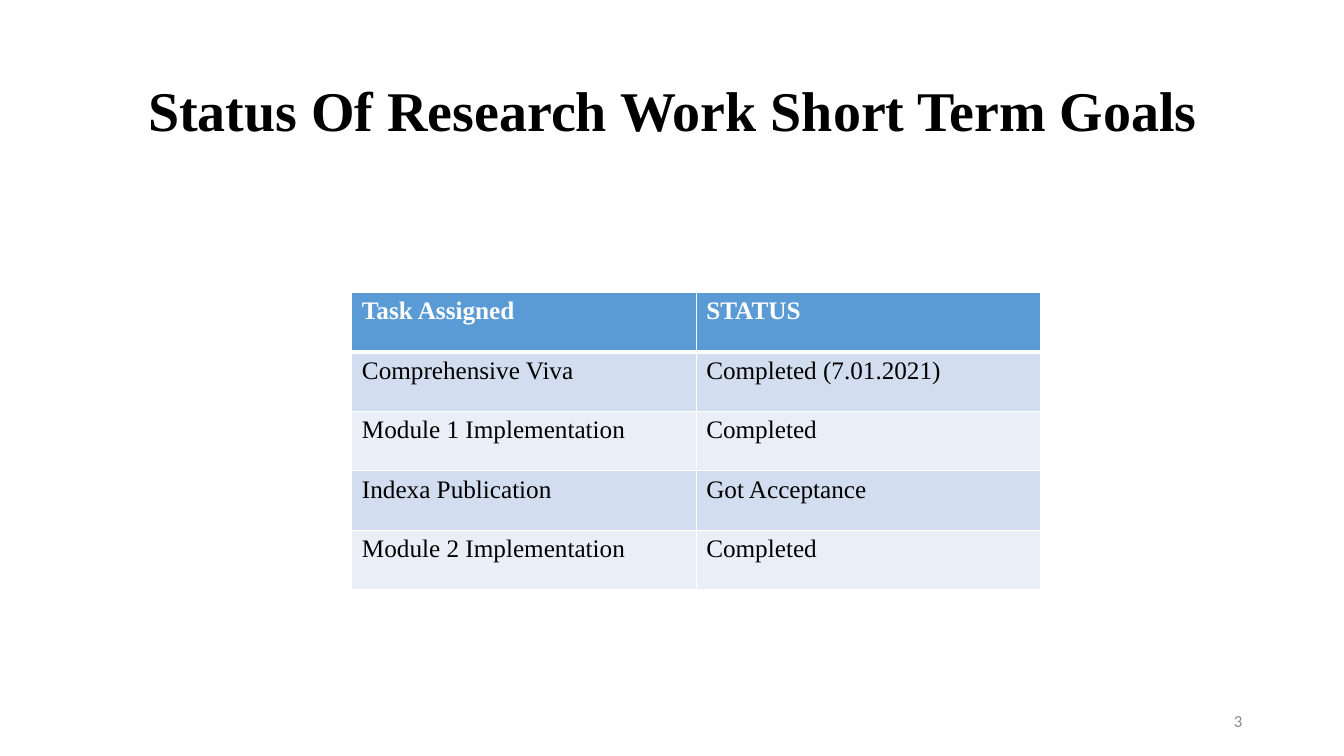
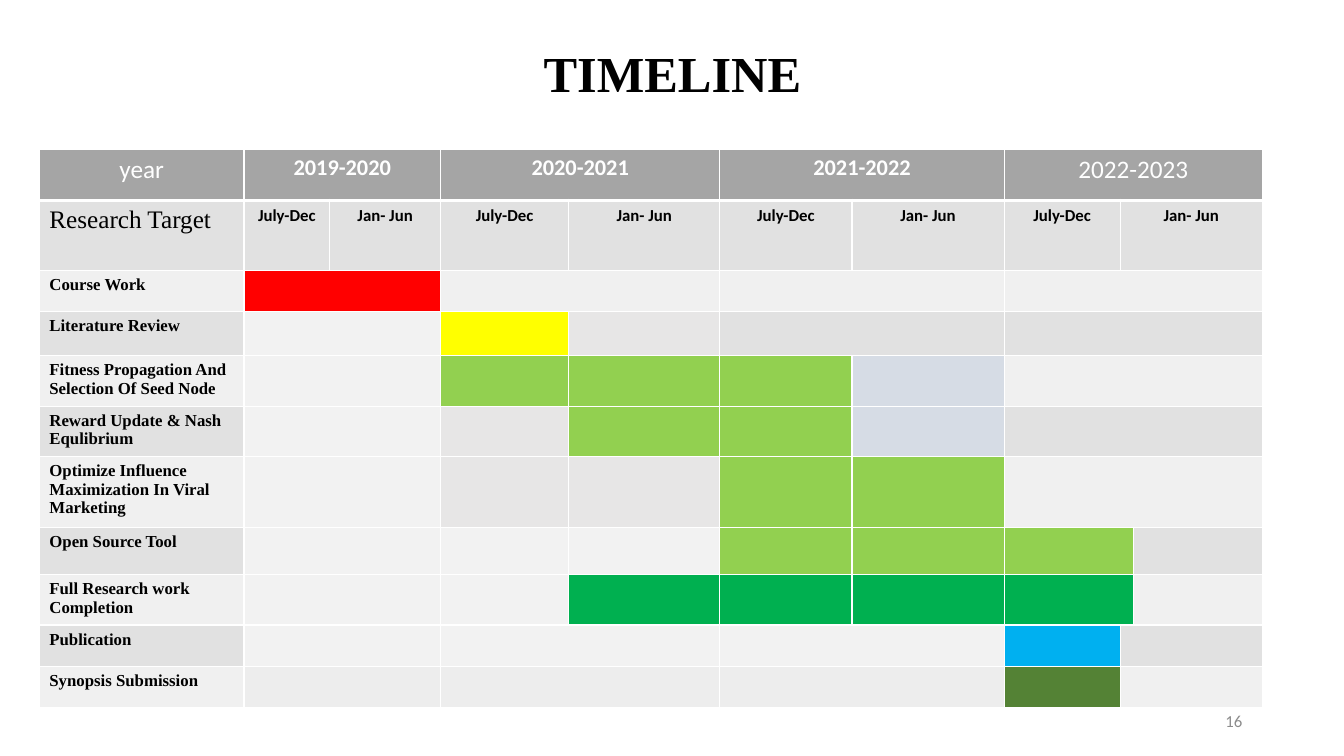
from pptx import Presentation, util as u
from pptx.dml.color import RGBColor
from pptx.enum import text
from pptx.oxml import parse_xml
from pptx.oxml.ns import nsdecls

WIDE, HIGH = 13.33, 7.5
SERIF, SANS = "Times New Roman", "Calibri"
LEFT, MID, RIGHT = text.PP_ALIGN.LEFT, text.PP_ALIGN.CENTER, text.PP_ALIGN.RIGHT
BLACK = RGBColor(0x00, 0x00, 0x00)
WHITE = RGBColor(0xFF, 0xFF, 0xFF)
GREY = RGBColor(0x8C, 0x8C, 0x8C)
BLUE = RGBColor(0x5B, 0x9B, 0xD5)
BLUES = RGBColor(0xD2, 0xDE, 0xEF), RGBColor(0xEA, 0xEF, 0xF7)
STEEL = RGBColor(0xA5, 0xA5, 0xA5)
GREYS = RGBColor(0xE1, 0xE1, 0xE1), RGBColor(0xF0, 0xF0, 0xF0)
FILLS = {
    "red": RGBColor(0xFF, 0x00, 0x00),
    "yellow": RGBColor(0xFF, 0xFF, 0x00),
    "lime": RGBColor(0x92, 0xD0, 0x50),
    "green": RGBColor(0x00, 0xB0, 0x50),
    "sky": RGBColor(0x00, 0xB0, 0xF0),
    "olive": RGBColor(0x54, 0x82, 0x35),
    "mist": RGBColor(0xD6, 0xDC, 0xE5),
    "pale": RGBColor(0xF2, 0xF2, 0xF2),
    "ash": RGBColor(0xE7, 0xE6, 0xE6),
    "pearl": RGBColor(0xED, 0xED, 0xED),
}

GOALS = [
    ("Task Assigned", "STATUS"),
    ("Comprehensive Viva", "Completed (7.01.2021)"),
    ("Module 1 Implementation", "Completed"),
    ("Indexa Publication", "Got Acceptance"),
    ("Module 2 Implementation", "Completed"),
]

YEARS = [("2019-2020", 2, 16), ("2020-2021", 2, 16), ("2021-2022", 2, 16), ("2022-2023", 3, 18)]
HALVES = ["July-Dec", "Jan- Jun"]
SPANS = [2.03, 0.85, 1.1, 1.27, 1.5, 1.31, 1.51, 1.15, 0.13, 1.28]
ROWS = [0.51, 0.69, 0.41, 0.44, 0.47, 0.47, 0.66, 0.47, 0.47, 0.41, 0.41]
TASKS = [
    ("Course Work", "red*2 band*2 band*2 band*3"),
    ("Literature Review", "pale*2 yellow ash band*2 band*3"),
    ("Fitness Propagation And Selection Of Seed Node", "pale*2 lime lime lime mist band*3"),
    ("Reward Update & Nash Equlibrium", "pale*2 ash lime lime mist band*3"),
    ("Optimize Influence Maximization In Viral Marketing", "pale*2 ash ash lime lime band*3"),
    ("Open Source Tool", "pale*2 pale pale lime lime lime*2 band"),
    ("Full Research work Completion", "pale*2 pale green green green green*2 band"),
    ("Publication", "pale*2 pale*2 pale*2 sky band*2"),
    ("Synopsis Submission", "pearl*2 pearl*2 pearl*2 olive band*2"),
]


def style(para, words, size, face, color, bold=False, align=LEFT):
    para.text = words
    para.alignment = align
    font = para.font
    font.size, font.name, font.bold = u.Pt(size), face, bold
    font.color.rgb = color


def page(deck, name, size, top, number):
    slide = deck.slides.add_slide(deck.slide_layouts[5])
    title = slide.shapes.title
    title.left, title.top, title.width, title.height = map(u.Inches, (0.92, top, 11.5, 1.45))
    title.text_frame.vertical_anchor = text.MSO_ANCHOR.MIDDLE
    para = title.text_frame.paragraphs[0]
    style(para, name, size, SERIF, BLACK, True, MID)
    para.line_spacing = 0.9
    foot = slide.shapes.add_textbox(*map(u.Inches, (9.42, 6.95, 3, 0.4))).text_frame
    foot.word_wrap = True
    foot.vertical_anchor = text.MSO_ANCHOR.MIDDLE
    style(foot.paragraphs[0], str(number), 12, SANS, GREY, align=RIGHT)
    return slide


def edge(cell, row):
    props = cell._tc.get_or_add_tcPr()
    widths = {"L": 1, "R": 1, "T": 3 if row == 1 else 1, "B": 3 if row == 0 else 1}
    for spot, (side, width) in enumerate(widths.items()):
        props.insert(spot, parse_xml(
            f'<a:ln{side} {nsdecls("a")} w="{u.Pt(width)}"><a:solidFill>'
            f'<a:srgbClr val="{WHITE}"/></a:solidFill></a:ln{side}>'))


def grid(slide, box, cols, rows, head, bands):
    left, top, width, height = box
    table = slide.shapes.add_table(len(rows), len(cols), *map(u.Inches, box)).table
    for col, share in zip(table.columns, cols):
        col.width = u.Inches(width * share / sum(cols))
    for at, (row, share) in enumerate(zip(table.rows, rows)):
        row.height = u.Inches(height * share / sum(rows))
        for cell in row.cells:
            cell.fill.solid()
            cell.fill.fore_color.rgb = bands[(at - 1) % 2] if at else head
            edge(cell, at)
    return table


def block(table, row, col, span):
    cell = table.cell(row, col)
    if span > 1:
        cell.merge(table.cell(row, col + span - 1))
    return cell


def label(cell, words, *look):
    style(cell.text_frame.paragraphs[0], words, *look)


def goals(slide, box):
    table = grid(slide, box, [1, 1], [1] * len(GOALS), BLUE, BLUES)
    for row, pair in enumerate(GOALS):
        for col, words in enumerate(pair):
            label(table.cell(row, col), words, 18, SERIF, BLACK if row else WHITE, row == 0)


def plan(slide, box):
    table = grid(slide, box, SPANS, ROWS, STEEL, GREYS)
    label(table.cell(0, 0), "year", 18, SANS, WHITE, False, MID)
    label(table.cell(1, 0), "Research Target", 18, SERIF, BLACK)
    col = 1
    for year, span, size in YEARS:
        label(block(table, 0, col, span), year, size, SANS, WHITE, size == 16, MID)
        for at, half in enumerate(HALVES):
            cell = block(table, 1, col + at, span - 1 if at else 1)
            label(cell, half, 12, SANS, BLACK, True, MID)
        col += span
    for row, (task, marks) in enumerate(TASKS, 2):
        label(table.cell(row, 0), task, 12, SERIF, BLACK, True)
        col = 1
        for mark in marks.split():
            name, _, count = mark.partition("*")
            span = int(count or 1)
            cell = block(table, row, col, span)
            if name in FILLS:
                cell.fill.fore_color.rgb = FILLS[name]
            col += span


def main():
    deck = Presentation()
    deck.slide_width, deck.slide_height = u.Inches(WIDE), u.Inches(HIGH)
    goals(page(deck, "Status Of Research Work Short Term Goals", 40, 0.4, 3),
          (3.49, 2.9, 6.83, 2.95))
    plan(page(deck, "TIMELINE", 36, 0.03, 16), (0.39, 1.48, 12.13, sum(ROWS)))
    deck.save("out.pptx")


if __name__ == "__main__":
    main()
